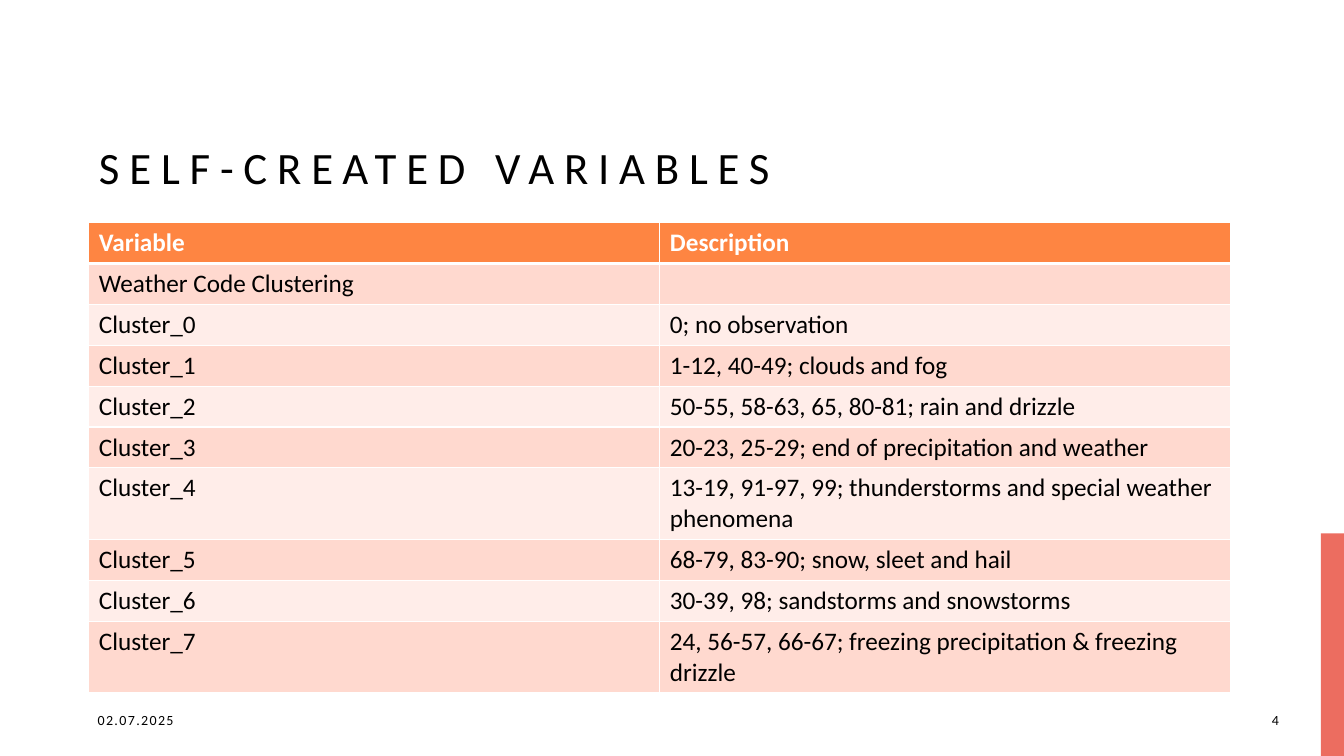
from dataclasses import dataclass

from lxml.etree import SubElement
from pptx import Presentation
from pptx.dml.color import RGBColor
from pptx.enum.shapes import MSO_SHAPE
from pptx.enum.text import MSO_ANCHOR, PP_ALIGN
from pptx.oxml.ns import qn
from pptx.util import Cm, Pt

TITLE = "SELF-CREATED VARIABLES"
ROWS = [
    ("Variable", "Description"),
    ("Weather Code Clustering", ""),
    ("Cluster_0", "0; no observation"),
    ("Cluster_1", "1-12, 40-49; clouds and fog"),
    ("Cluster_2", "50-55, 58-63, 65, 80-81; rain and drizzle"),
    ("Cluster_3", "20-23, 25-29; end of precipitation and weather"),
    ("Cluster_4", "13-19, 91-97, 99; thunderstorms and special weather phenomena"),
    ("Cluster_5", "68-79, 83-90; snow, sleet and hail"),
    ("Cluster_6", "30-39, 98; sandstorms and snowstorms"),
    ("Cluster_7", "24, 56-57, 66-67; freezing precipitation & freezing drizzle"),
]
FOOTERS = [
    ("02.07.2025", 2.21, 7.62, PP_ALIGN.LEFT),
    ("4", 31.01, 1.47, PP_ALIGN.RIGHT),
]


@dataclass(frozen=True)
class Theme:
    font: str = "Calibri"
    text: str = "000000"
    white: str = "FFFFFF"
    accent: str = "EC6D60"
    header: str = "FE8542"
    bands: tuple = ("FFEDE9", "FFD9CF")
    title_size: int = 32
    table_size: int = 18
    footer_size: int = 10


THEME = Theme()
SLIDE_WIDTH, SLIDE_HEIGHT = 33.87, 19.05
LEFT, CONTENT_WIDTH = 2.24, 28.78
TABLE_TOP, ROW_HEIGHT = 5.61, 1.03
ACCENT_WIDTH, ACCENT_HEIGHT = 0.58, 5.61
FOOTER_TOP, FOOTER_HEIGHT = 17.63, 1.02


def add_run(paragraph, text, size, color, bold=False, spacing=0):
    run = paragraph.add_run()
    run.text = text
    run.font.name = THEME.font
    run.font.size = Pt(size)
    run.font.bold = bold
    run.font.color.rgb = RGBColor.from_string(color)
    if spacing:
        run.font._element.set("spc", str(spacing * 100))


def add_borders(cell, widths):
    properties = cell._tc.get_or_add_tcPr()
    for side, width in zip("LRTB", widths):
        line = SubElement(properties, qn(f"a:ln{side}"), w=str(Pt(width)))
        fill = SubElement(line, qn("a:solidFill"))
        SubElement(fill, qn("a:srgbClr"), val=THEME.white)


def add_accent(slide):
    accent = slide.shapes.add_shape(
        MSO_SHAPE.RECTANGLE,
        Cm(SLIDE_WIDTH - ACCENT_WIDTH), Cm(SLIDE_HEIGHT - ACCENT_HEIGHT),
        Cm(ACCENT_WIDTH), Cm(ACCENT_HEIGHT),
    )
    accent.shadow.inherit = False
    accent.fill.solid()
    accent.fill.fore_color.rgb = RGBColor.from_string(THEME.accent)
    accent.line.fill.background()


def add_title(slide):
    title = slide.shapes.title
    title.left, title.top = Cm(LEFT), Cm(1.02)
    title.width, title.height = Cm(CONTENT_WIDTH), Cm(3.99)
    title.text_frame.vertical_anchor = MSO_ANCHOR.BOTTOM
    paragraph = title.text_frame.paragraphs[0]
    paragraph.alignment = PP_ALIGN.LEFT
    paragraph.line_spacing = 1.2
    add_run(paragraph, TITLE, THEME.title_size, THEME.text, spacing=7)


def add_variable_table(slide):
    table = slide.shapes.add_table(
        len(ROWS), len(ROWS[0]), Cm(LEFT), Cm(TABLE_TOP),
        Cm(CONTENT_WIDTH), Cm(ROW_HEIGHT * len(ROWS)),
    ).table
    for row_index, row in enumerate(ROWS):
        table.rows[row_index].height = Cm(ROW_HEIGHT)
        is_header = row_index == 0
        color = THEME.white if is_header else THEME.text
        background = THEME.header if is_header else THEME.bands[row_index % 2]
        top = 3 if row_index == 1 else 1
        bottom = 3 if is_header else 1
        for column_index, text in enumerate(row):
            cell = table.cell(row_index, column_index)
            add_borders(cell, (1, 1, top, bottom))
            cell.fill.solid()
            cell.fill.fore_color.rgb = RGBColor.from_string(background)
            if text:
                paragraph = cell.text_frame.paragraphs[0]
                add_run(paragraph, text, THEME.table_size, color, bold=is_header)


def add_footers(slide):
    for text, left, width, alignment in FOOTERS:
        footer = slide.shapes.add_textbox(
            Cm(left), Cm(FOOTER_TOP), Cm(width), Cm(FOOTER_HEIGHT)
        )
        footer.text_frame.word_wrap = True
        footer.text_frame.vertical_anchor = MSO_ANCHOR.MIDDLE
        paragraph = footer.text_frame.paragraphs[0]
        paragraph.alignment = alignment
        add_run(paragraph, text, THEME.footer_size, THEME.text, spacing=1)


def main():
    presentation = Presentation()
    presentation.slide_width = Cm(SLIDE_WIDTH)
    presentation.slide_height = Cm(SLIDE_HEIGHT)
    slide = presentation.slides.add_slide(presentation.slide_layouts[5])
    add_accent(slide)
    add_title(slide)
    add_variable_table(slide)
    add_footers(slide)
    presentation.save("out.pptx")


if __name__ == "__main__":
    main()
